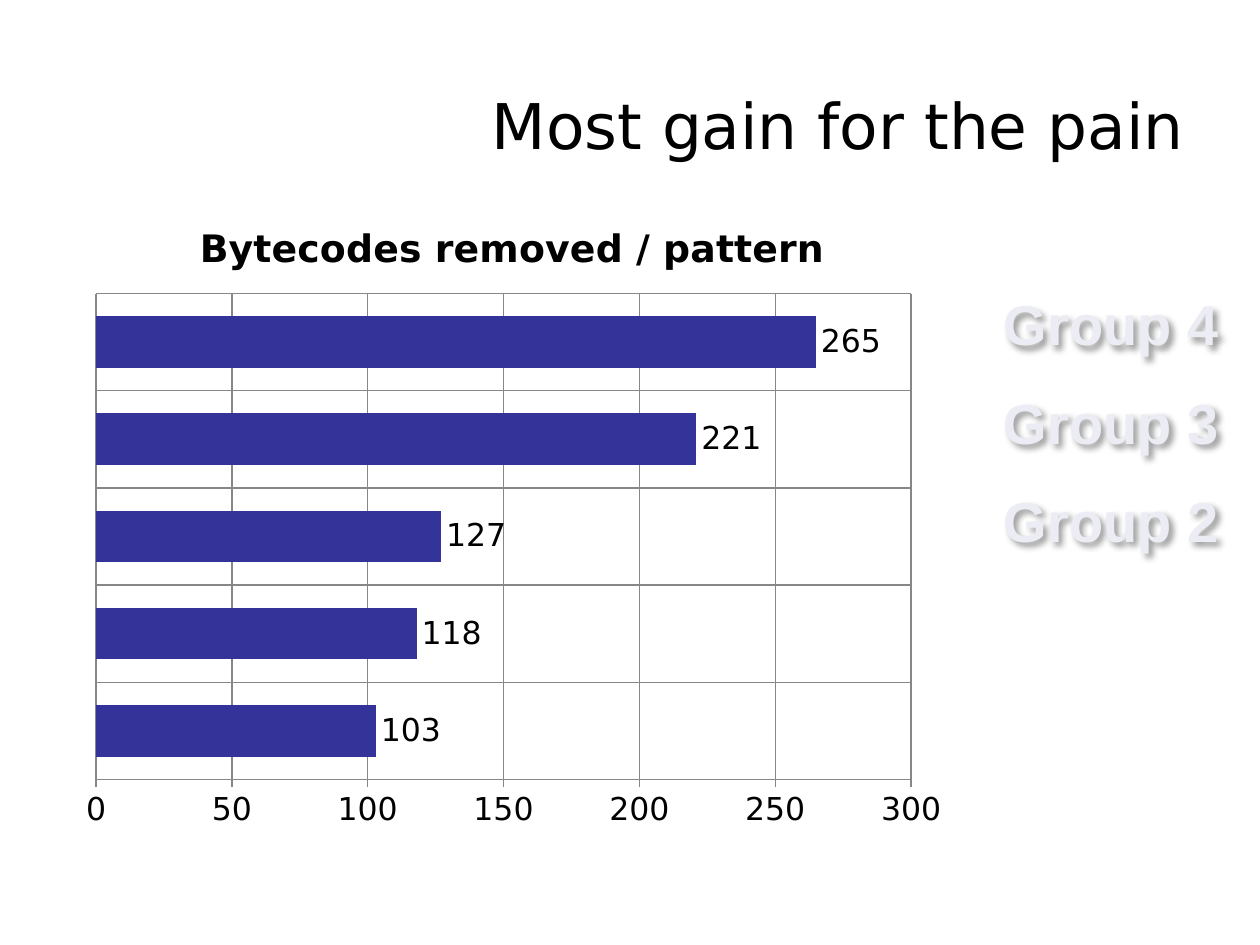
from dataclasses import dataclass

from lxml import etree
from pptx import Presentation
from pptx import util as u
from pptx.chart.data import CategoryChartData
from pptx.dml.color import RGBColor
from pptx.enum import chart as charts, text
from pptx.oxml import parse_xml
from pptx.oxml.ns import nsdecls, qn


@dataclass(frozen=True)
class Theme:
    black: RGBColor = RGBColor.from_string("000000")
    bar: RGBColor = RGBColor.from_string("333399")
    grid: RGBColor = RGBColor.from_string("878787")
    label: RGBColor = RGBColor.from_string("ECECF4")
    outline: str = "020285"
    font: str = "DejaVu Sans"
    label_font: str = "Arial"
    title_size: float = 36
    label_size: float = 32
    chart_title_size: float = 21.6
    chart_size: float = 18


THEME = Theme()
CHART_TITLE = "Bytecodes removed / pattern"
VALUES = (103, 118, 127, 221, 265)
GROUPS = ("Group 4", "Group 3", "Group 2")


def format_font(font, name, size, color, bold=False):
    font.name = name
    font.size = u.Pt(size)
    font.color.rgb = color
    font.bold = bold


def place(shape, left, top, width, height):
    shape.left, shape.top = u.Cm(left), u.Cm(top)
    shape.width, shape.height = u.Cm(width), u.Cm(height)


def add_title(page, words):
    title = page.shapes.title
    place(title, 1.4, 1.47, 22.73, 2.08)
    title.text_frame.text = words
    title.text_frame.vertical_anchor = text.MSO_ANCHOR.MIDDLE
    para = title.text_frame.paragraphs[0]
    para.alignment = text.PP_ALIGN.RIGHT
    format_font(para.runs[0].font, THEME.font, THEME.title_size, THEME.black)


def add_group_label(page, words, top):
    box = page.shapes.add_textbox(u.Cm(19.94), u.Cm(top), u.Cm(4.88), u.Cm(1.63))
    frame = box.text_frame
    frame.text = words
    frame.word_wrap = False
    frame.auto_size = text.MSO_AUTO_SIZE.SHAPE_TO_FIT_TEXT
    para = frame.paragraphs[0]
    para.alignment = text.PP_ALIGN.RIGHT
    span = para.runs[0]
    format_font(span.font, THEME.label_font, THEME.label_size, THEME.label, True)
    # Letter outline
    span.font._element.insert(0, parse_xml(
        f'<a:ln {nsdecls("a")} w="{u.Pt(2.48)}"><a:solidFill>'
        f'<a:srgbClr val="{THEME.outline}"/></a:solidFill></a:ln>'))
    # Soft shadow down to the right
    box._element.spPr.append(parse_xml(
        f'<a:effectLst {nsdecls("a")}><a:outerShdw blurRad="{u.Pt(4)}" '
        f'dist="{u.Pt(3)}" dir="2700000" algn="tl" rotWithShape="0">'
        '<a:srgbClr val="000000"><a:alpha val="40000"/></a:srgbClr>'
        '</a:outerShdw></a:effectLst>'))


def set_plot_layout(chart, **fractions):
    plot_area = chart._chartSpace.chart.plotArea
    for old in plot_area.findall(qn("c:layout")):
        plot_area.remove(old)
    layout = etree.Element(qn("c:layout"))
    manual = etree.SubElement(layout, qn("c:manualLayout"))
    settings = {"layoutTarget": "inner", "xMode": "edge", "yMode": "edge", **fractions}
    for name, value in settings.items():
        etree.SubElement(manual, qn(f"c:{name}")).set("val", str(value))
    plot_area.insert(0, layout)


def format_axes(chart):
    for axis in (chart.category_axis, chart.value_axis):
        axis.has_major_gridlines = True
        for line in (axis.major_gridlines.format.line, axis.format.line):
            line.color.rgb = THEME.grid
            line.width = u.Pt(0.75)
    chart.category_axis.visible = False
    scale = chart.value_axis
    scale.minimum_scale, scale.maximum_scale, scale.major_unit = 0, 300, 50
    scale.major_tick_mark = charts.XL_TICK_MARK.CROSS


def add_bar_chart(page):
    data = CategoryChartData()
    data.categories = [str(number + 1) for number in range(len(VALUES))]
    data.add_series(CHART_TITLE, VALUES)
    chart = page.shapes.add_chart(
        charts.XL_CHART_TYPE.BAR_CLUSTERED,
        u.Cm(1.4), u.Cm(3.96), u.Cm(17.86), u.Cm(13.06), data).chart
    format_font(chart.font, THEME.font, THEME.chart_size, THEME.black)
    chart.has_legend = False
    chart.has_title = True
    frame = chart.chart_title.text_frame
    frame.text = CHART_TITLE
    format_font(frame.paragraphs[0].runs[0].font, THEME.font,
                THEME.chart_title_size, THEME.black, True)
    format_axes(chart)
    set_plot_layout(chart, x=0.03, y=0.15, w=0.92, h=0.75)
    # Bars with their values
    plot = chart.plots[0]
    plot.gap_width = 88
    plot.vary_by_categories = False
    series = plot.series[0]
    series.format.fill.solid()
    series.format.fill.fore_color.rgb = THEME.bar
    labels = series.data_labels
    labels.show_value = True
    labels.position = charts.XL_LABEL_POSITION.OUTSIDE_END
    format_font(labels.font, THEME.font, THEME.chart_size, THEME.black)


def main():
    deck = Presentation()
    deck.slide_width, deck.slide_height = u.Cm(25.4), u.Cm(19.05)
    page = deck.slides.add_slide(deck.slide_layouts[5])
    # Group names beside the bars
    for row, words in enumerate(GROUPS):
        add_group_label(page, words, 5.72 + 1.98 * row)
    # Heading and chart
    add_title(page, "Most gain for the pain")
    add_bar_chart(page)
    deck.save("out.pptx")


if __name__ == "__main__":
    main()
